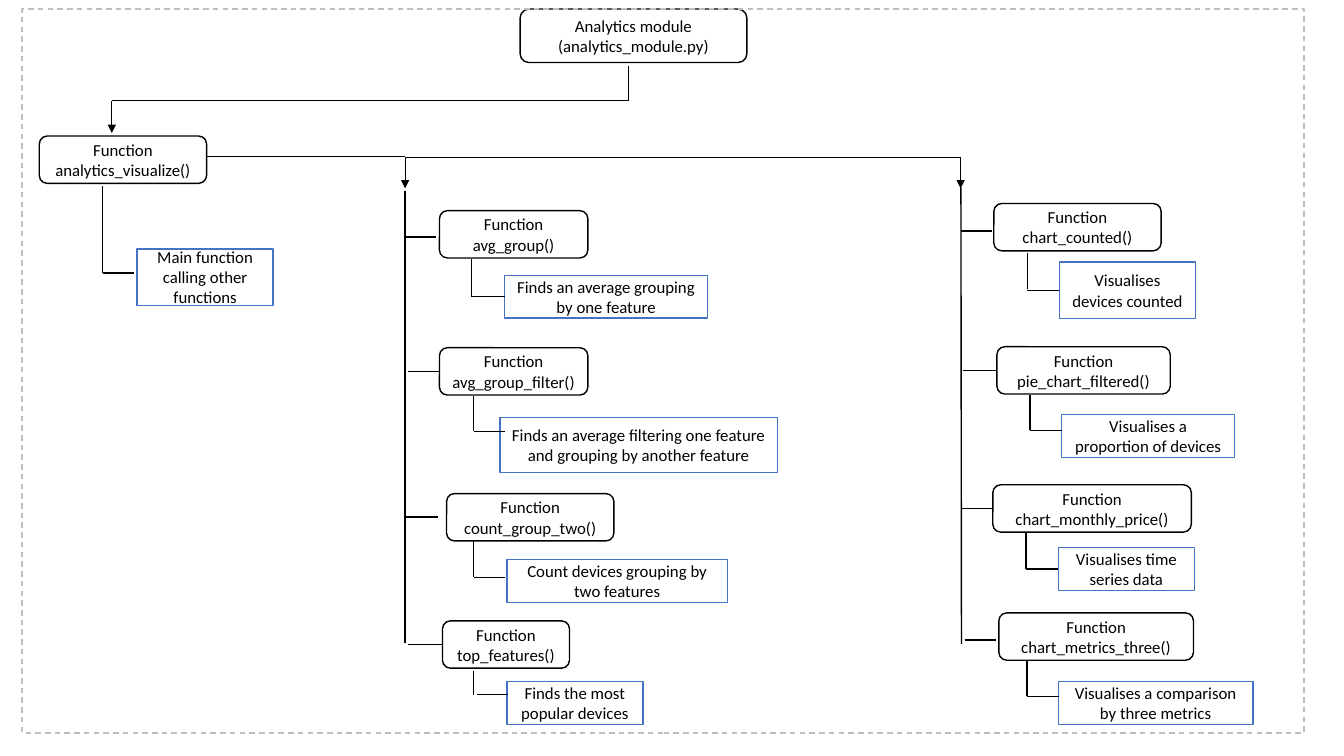
from pptx import Presentation
from pptx.dml.color import RGBColor
from pptx.enum import dml, shapes, text
from pptx.oxml import ns, xmlchemy
from pptx.util import Pt

COLORS = {"ink": "000000", "paper": "FFFFFF", "note": "4472C4", "frame": "BFBFBF"}
BOX_H = 33.8   # height of a function box
REACH = 22.5   # length of a branch or foot line
NEAR = 2       # a line ending this close to a side's middle is joined to it


class Chart:
    def __init__(self, slide, font="Calibri", size=12):
        self.slide, self.font, self.size = slide, font, size

    def color(self, name):
        return RGBColor.from_string(COLORS[name])

    def box(self, kind, words, x, y, w, h, edge):
        shape = self.slide.shapes.add_shape(kind, Pt(x), Pt(y), Pt(w), Pt(h))
        shape.shadow.inherit = False
        shape.fill.solid()
        shape.fill.fore_color.rgb = self.color("paper")
        shape.line.color.rgb = self.color(edge)
        shape.line.width = Pt(1)
        frame = shape.text_frame
        frame.text = words
        frame.word_wrap = edge == "note"
        frame.vertical_anchor = text.MSO_ANCHOR.MIDDLE
        for para in frame.paragraphs:
            para.alignment = text.PP_ALIGN.CENTER
            for run in para.runs:
                run.font.name, run.font.size = self.font, Pt(self.size)
                run.font.color.rgb = self.color("ink")
        return shape

    def module(self, words, x, y, w, h=BOX_H):
        return self.box(shapes.MSO_SHAPE.ROUNDED_RECTANGLE, words, x, y, w, h, "ink")

    def note(self, words, x, y, w, h):
        return self.box(shapes.MSO_SHAPE.RECTANGLE, words, x, y, w, h, "note")

    def line(self, x1, y1, x2, y2, width=1, arrow=False):
        link = self.slide.shapes.add_connector(
            shapes.MSO_CONNECTOR.STRAIGHT, Pt(x1), Pt(y1), Pt(x2), Pt(y2))
        link.line.color.rgb = self.color("ink")
        link.line.width = Pt(width)
        if arrow:
            tail = xmlchemy.OxmlElement("a:tailEnd")
            tail.set("type", "triangle")
            link.line._get_or_add_ln().append(tail)
        link._element.spPr.append(xmlchemy.OxmlElement("a:effectLst"))
        return link

    def lead(self, x, y, box):
        """Draw a short level line towards the left side of a box."""
        mid = (box.top + box.height / 2) / Pt(1)
        join = abs(y - mid) <= NEAR and abs(x + REACH - box.left / Pt(1)) <= NEAR
        y = mid if join else y
        link = self.line(x, y, x + REACH, y)
        if join:
            link.end_connect(box, 1)

    def route(self, *points):
        """Draw a thin path through the points, with an arrowhead at its end."""
        for i, (start, end) in enumerate(zip(points, points[1:]), 2):
            self.line(*start, *end, width=0.5, arrow=i == len(points))

    def border(self, x, y, w, h):
        shape = self.slide.shapes.add_shape(
            shapes.MSO_SHAPE.RECTANGLE, Pt(x), Pt(y), Pt(w), Pt(h))
        shape.shadow.inherit = False
        shape.fill.background()
        shape.line.color.rgb = self.color("frame")
        shape.line.width = Pt(1)
        shape.line.dash_style = dml.MSO_LINE.DASH


# Per function: name, box (x, y, w), branch (x, y), stem (x, top, foot y),
# foot x, note text, note (x, y, w, h)
FUNCS = [
    ("analytics_visualize()", (28.1, 97.2, 119.5), None, (73.4, 133.2, 195), 73.4,
     "Main function calling other functions", (97.9, 177.8, 97.2, 40.3)),
    ("avg_group()", (313.9, 150.5, 106), (288.7, 169.2), (337, 185, 212.4), 337,
     "Finds an average grouping by one feature", (360.5, 196.6, 144.9, 30.6)),
    ("avg_group_filter()", (313.9, 248.4, 106), (291.2, 263.5), (338.4, 283, 308.2), 338.4,
     "Finds an average filtering one feature and grouping by another feature",
     (357.1, 298, 198.2, 39.6)),
    ("count_group_two()", (319, 352.6, 119.5), (290.2, 369.4), (338.4, 386.6, 412.3), 338.4,
     "Count devices grouping by two features", (362, 399.6, 157.7, 31)),
    ("top_features()", (316.1, 443.5, 90.7), (291.6, 459.4), (338.4, 479.5, 496.1), 340.6,
     "Finds the most popular devices", (362, 486.7, 97.2, 31)),
    ("chart_counted()", (709.9, 145.4, 119.5), (686.2, 164.9), (733.9, 180.7, 206.6), 733.9,
     "Visualises devices counted", (756.7, 187.2, 97.2, 40.3)),
    ("pie_chart_filtered()", (712.1, 247.7, 123.8), (687.6, 266.4), (735.8, 282.2, 307.4), 735.8,
     "Visualises a proportion of devices", (758.2, 295.9, 123.8, 31)),
    ("chart_monthly_price()", (709.2, 346.3, 141.8), (686.4, 361.4), (733, 380.9, 406.4), 733,
     "Visualises time series data", (756, 391, 97.2, 31)),
    ("chart_metrics_three()", (713.5, 437.8, 139), (689, 457.2), (733.7, 472.3, 497.5), 733.7,
     "Visualises a comparison by three metrics", (756, 486.7, 139, 31)),
]


def main():
    deck = Presentation()
    deck.slide_width, deck.slide_height = Pt(960), Pt(540)
    chart = Chart(deck.slides.add_slide(deck.slide_layouts[6]))

    chart.module("Analytics module\n(analytics_module.py)", 371.5, 6.5, 162, 38.2)
    for name, place, branch, stem, foot, words, area in FUNCS:
        box = chart.module("Function\n" + name, *place)
        note = chart.note(words, *area)
        if branch:
            chart.lead(*branch, box)
        x, top, end = stem
        chart.line(x, top, x, end)
        chart.lead(foot, end, note)

    chart.line(289.4, 136.1, 289.4, 459.4)
    chart.line(686.4, 133.9, 686.8, 460.1)
    chart.route((448.6, 46.8), (448.6, 72), (79.9, 72), (79.9, 95))
    chart.route((147.6, 111.8), (289.4, 111.8), (289.4, 134.6))
    chart.route((289.4, 112.5), (686.2, 112.5), (686.2, 134.6))
    chart.border(15.8, 6.5, 915.8, 517)
    deck.save("out.pptx")


if __name__ == "__main__":
    main()
